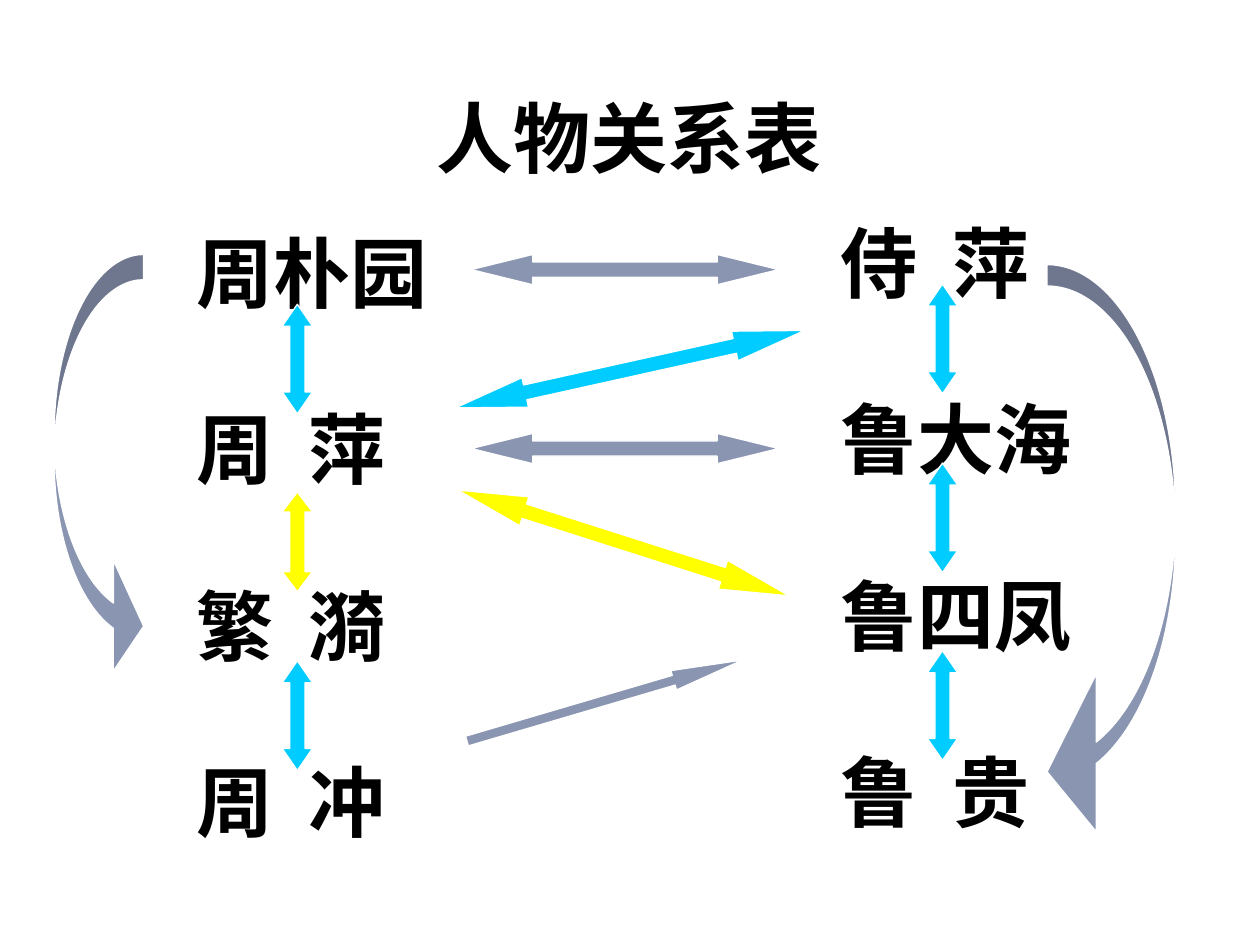
"""Build a slide that charts the relations between the characters of a play."""
import pptx
import pptx.dml.color
import pptx.enum.shapes
import pptx.enum.text
import pptx.util

Inches = pptx.util.Inches
Pt = pptx.util.Pt
SHAPES = pptx.enum.shapes.MSO_SHAPE
ALIGN = pptx.enum.text.PP_ALIGN
ANCHOR = pptx.enum.text.MSO_ANCHOR

THEME = {
    "font": "Arial", "size": 44, "spacing": 1.7, "before": 11, "line": 0.75,
    "text": "000000", "outline": "FFFFFF",
    "slate": "8A95B2", "cyan": "00CCFF", "yellow": "FFFF00",
}

TITLE = ("人物关系表", (0.58, 0.5, 8.83, 1.17))
FAMILIES = [
    (["周朴园", "周  萍", "繁  漪", "周  冲"], (1.46, 1.23, 2.44, 5.83)),
    (["侍  萍", "鲁大海", "鲁四凤", "鲁  贵"], (6.57, 1.15, 2.91, 6.19)),
]

# shape, box, (band, head width, head length)
CURVED_ARROWS = [
    (SHAPES.CURVED_RIGHT_ARROW, (0.43, 2.02, 0.71, 3.39), (0.2, 0.88, 0.24)),
    (SHAPES.CURVED_LEFT_ARROW, (8.31, 2.1, 1.02, 4.65), (0.17, 1.25, 0.39)),
]

CROSS_ARROWS = [
    (4.96, 2.14, 2.44, 0, "slate"),
    (5.0, 2.93, 2.84, -12.5, "cyan"),
    (4.96, 3.56, 2.44, 0, "slate"),
    (4.95, 4.31, 2.76, 17.7, "yellow"),
]
COLUMN_ARROWS = [
    (2.36, [(2.85, 0.87, "cyan"), (4.3, 0.79, "yellow"), (5.68, 0.87, "cyan")]),
    (7.48, [(2.69, 0.87, "cyan"), (4.11, 0.87, "cyan"), (5.6, 0.87, "cyan")]),
]
ONE_WAY_ARROW = (4.8, 5.56, 2.28, -16.4, "slate")


def color(name):
    return pptx.dml.color.RGBColor.from_string(THEME[name])


def add_text(slide, lines, box, align, anchor, spacing=1.0):
    frame = slide.shapes.add_textbox(*map(Inches, box)).text_frame
    frame.word_wrap = True
    frame.vertical_anchor = anchor
    frame.text = "\n".join(lines)
    for index, paragraph in enumerate(frame.paragraphs):
        paragraph.alignment = align
        paragraph.line_spacing = spacing
        paragraph.space_before = Pt(THEME["before"] if index else 0)
        paragraph.font.name = THEME["font"]
        paragraph.font.size = Pt(THEME["size"])
        paragraph.font.bold = True
        paragraph.font.color.rgb = color("text")


def add_arrow(slide, kind, box, adjustments, fill, rotation=0):
    shape = slide.shapes.add_shape(kind, *map(Inches, box))
    for index, value in enumerate(adjustments):
        shape.adjustments[index] = value
    shape.rotation = rotation
    shape.shadow.inherit = False
    shape.fill.solid()
    shape.fill.fore_color.rgb = color(fill)
    shape.line.color.rgb = color("outline")
    shape.line.width = Pt(THEME["line"])


def add_straight_arrow(slide, arrow, kind=SHAPES.LEFT_RIGHT_ARROW, thickness=0.24, head=0.2):
    center_x, center_y, length, rotation, fill = arrow
    box = (center_x - length / 2, center_y - thickness / 2, length, thickness)
    add_arrow(slide, kind, box, (0.5, head * length / thickness), fill, rotation)


def main():
    presentation = pptx.Presentation()
    presentation.slide_width, presentation.slide_height = Inches(10), Inches(7.5)
    slide = presentation.slides.add_slide(presentation.slide_layouts[6])

    title, title_box = TITLE
    add_text(slide, [title], title_box, ALIGN.CENTER, ANCHOR.MIDDLE)
    for names, box in FAMILIES:
        add_text(slide, names, box, ALIGN.LEFT, ANCHOR.TOP, THEME["spacing"])

    for kind, box, sizes in CURVED_ARROWS:
        add_arrow(slide, kind, box, [size / box[2] for size in sizes], "slate")
    for arrow in CROSS_ARROWS:
        add_straight_arrow(slide, arrow)
    for center_x, arrows in COLUMN_ARROWS:
        for center_y, length, fill in arrows:
            add_straight_arrow(slide, (center_x, center_y, length, 90, fill))
    add_straight_arrow(slide, ONE_WAY_ARROW, SHAPES.RIGHT_ARROW, 0.16, 0.25)

    presentation.save("out.pptx")


if __name__ == "__main__":
    main()
